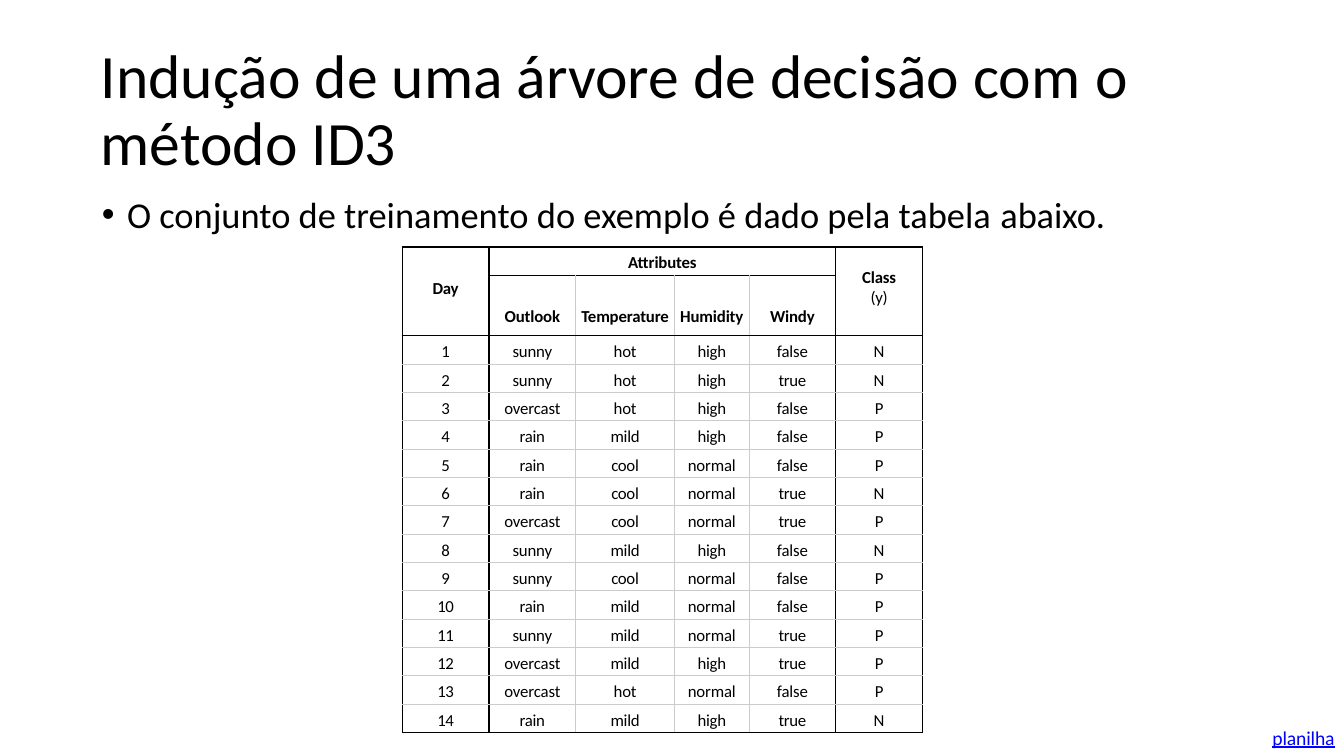
from lxml.etree import SubElement
from pptx import Presentation
from pptx.dml.color import RGBColor
from pptx.enum.text import MSO_ANCHOR as Anchor, MSO_AUTO_SIZE as AutoSize, PP_ALIGN as Align
from pptx.oxml.ns import qn
from pptx.util import Inches, Pt

TITLE = [("Indução de uma árvore de decisão com ", 0), ("o ", -0.5),
         ("método ", 0), ("ID3", -0.2)]
BODY = [("O conjunto de treinamento do exemplo é dado pela tabela ", 0), ("abaixo.", -0.1)]
SHEET = [("planilha", -0.1)]
ATTRIBUTES = ["Outlook", "Temperature", "Humidity", "Windy"]
EXAMPLES = [
    ("sunny", "hot", "high", "false", "N"),
    ("sunny", "hot", "high", "true", "N"),
    ("overcast", "hot", "high", "false", "P"),
    ("rain", "mild", "high", "false", "P"),
    ("rain", "cool", "normal", "false", "P"),
    ("rain", "cool", "normal", "true", "N"),
    ("overcast", "cool", "normal", "true", "P"),
    ("sunny", "mild", "high", "false", "N"),
    ("sunny", "cool", "normal", "false", "P"),
    ("rain", "mild", "normal", "false", "P"),
    ("sunny", "mild", "normal", "true", "P"),
    ("overcast", "mild", "high", "true", "P"),
    ("overcast", "hot", "normal", "false", "P"),
    ("rain", "mild", "high", "true", "N"),
]
COLORS = {"text": "000000", "link": "0000FF", "frame": "000000", "grid": "CCCCCC"}
FONT = "Calibri"
WIDTHS = [0.86, 0.86, 0.98, 0.74, 0.86, 0.86]
TABLE_HEIGHT, ATTRIBUTE_HEIGHT = 4.75, 0.53
HEADER_ROWS = 2
ROW_COUNT = HEADER_ROWS + len(EXAMPLES)
ROW_HEIGHT = (TABLE_HEIGHT - ATTRIBUTE_HEIGHT) / (ROW_COUNT - 1)
FRAME_COLUMNS = {0, 1, 5, 6}
FRAME_ROWS = {0, 1, 2, ROW_COUNT}


def add_run(paragraph, text, size, spacing=0, color="text", bold=False, underline=None):
    run = paragraph.add_run()
    run.text = text
    font = run.font
    font.name, font.size, font.bold, font.underline = FONT, Pt(size), bold, underline
    font.color.rgb = RGBColor.from_string(COLORS[color])
    if spacing:
        run._r.get_or_add_rPr().set("spc", str(round(spacing * 100)))


def fill_box(shape, place, inset_top, runs, size, **style):
    shape.left, shape.top, shape.width, shape.height = map(Inches, place)
    frame = shape.text_frame
    frame.word_wrap = True
    frame.auto_size = AutoSize.SHAPE_TO_FIT_TEXT
    frame.vertical_anchor = Anchor.TOP
    frame.margin_left = frame.margin_right = frame.margin_bottom = 0
    frame.margin_top = Inches(inset_top)
    paragraph = frame.paragraphs[0]
    paragraph.alignment = Align.LEFT
    paragraph.space_before = Pt(0)
    for text, spacing in runs:
        add_run(paragraph, text, size, spacing, **style)
    return paragraph


def fill_cell(cell, lines, inset_top=0.06):
    cell.margin_left = cell.margin_right = cell.margin_bottom = 0
    cell.margin_top = Inches(inset_top)
    for i, (text, bold) in enumerate(lines):
        paragraph = cell.text_frame.paragraphs[0] if i == 0 else cell.text_frame.add_paragraph()
        paragraph.alignment = Align.CENTER
        spacing = 0 if len(text) == 1 else -0.2 if len(text) < 5 else -0.1
        add_run(paragraph, text, 12, spacing, bold=bold)


def draw_borders(cell, row, column):
    edges = {
        "a:lnL": column in FRAME_COLUMNS,
        "a:lnR": column + cell.span_width in FRAME_COLUMNS,
        "a:lnT": row in FRAME_ROWS,
        "a:lnB": row + cell.span_height in FRAME_ROWS,
    }
    if cell.is_spanned:
        kept = ("a:lnT", "a:lnB") if row == 0 else ("a:lnL", "a:lnR")
        edges = {edge: edges[edge] for edge in kept}
    properties = cell._tc.get_or_add_tcPr()
    for edge, framed in edges.items():
        line = SubElement(properties, qn(edge), w=str(Pt(1 if framed else 0.75)))
        fill = SubElement(line, qn("a:solidFill"))
        SubElement(fill, qn("a:srgbClr"), val=COLORS["frame" if framed else "grid"])
    cell.fill.background()


def add_training_table(slide):
    table = slide.shapes.add_table(
        ROW_COUNT, len(WIDTHS), Inches(3.99), Inches(2.45),
        Inches(sum(WIDTHS)), Inches(TABLE_HEIGHT)).table
    table.first_row = table.horz_banding = False
    for column, width in zip(table.columns, WIDTHS):
        column.width = Inches(width)
    for i, row in enumerate(table.rows):
        row.height = Inches(ATTRIBUTE_HEIGHT if i == 1 else ROW_HEIGHT)

    table.cell(0, 0).merge(table.cell(1, 0))
    table.cell(0, 1).merge(table.cell(0, 4))
    table.cell(0, 5).merge(table.cell(1, 5))
    fill_cell(table.cell(0, 0), [("Day", True)], 0.31)
    fill_cell(table.cell(0, 1), [("Attributes", True)])
    fill_cell(table.cell(0, 5), [("Class", True), ("(y)", False)], 0.2)
    for column, attribute in enumerate(ATTRIBUTES, 1):
        fill_cell(table.cell(1, column), [(attribute, True)], 0.31)
    for day, example in enumerate(EXAMPLES, 1):
        for column, value in enumerate((str(day), *example)):
            fill_cell(table.cell(HEADER_ROWS + day - 1, column), [(value, False)])
    for row in range(ROW_COUNT):
        for column in range(len(WIDTHS)):
            draw_borders(table.cell(row, column), row, column)


def main():
    deck = Presentation()
    deck.slide_width, deck.slide_height = Inches(13.33), Inches(7.5)
    slide = deck.slides.add_slide(deck.slide_layouts[1])
    title = fill_box(slide.shapes.title, (1, 0.34, 11.33, 1.42), 0.1, TITLE, 44)
    title.line_spacing = Pt(47.5)

    body = fill_box(slide.placeholders[1], (1, 1.9, 9.99, 0.46), 0.01, BODY, 26)
    bullet = body._p.get_or_add_pPr()
    bullet.set("marL", str(Inches(0.26)))
    bullet.set("indent", str(Inches(-0.25)))
    SubElement(bullet, qn("a:buFont"), typeface="Arial")
    SubElement(bullet, qn("a:buChar"), char="•")

    add_training_table(slide)
    sheet = slide.shapes.add_textbox(0, 0, 0, 0)
    fill_box(sheet, (12.62, 7.19, 0.66, 0.25), 0.01, SHEET, 14, color="link", underline=True)
    deck.save("out.pptx")


if __name__ == "__main__":
    main()
